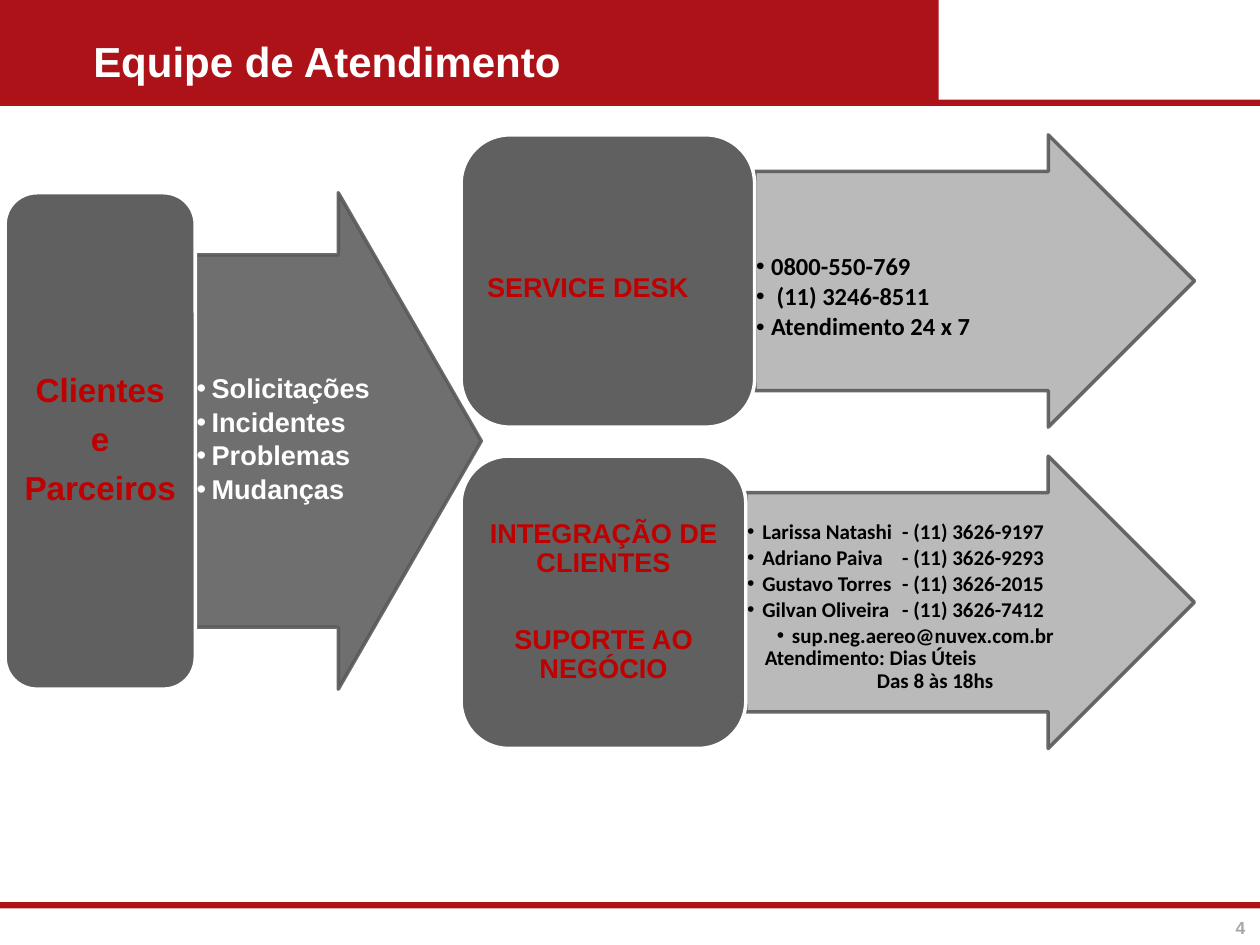
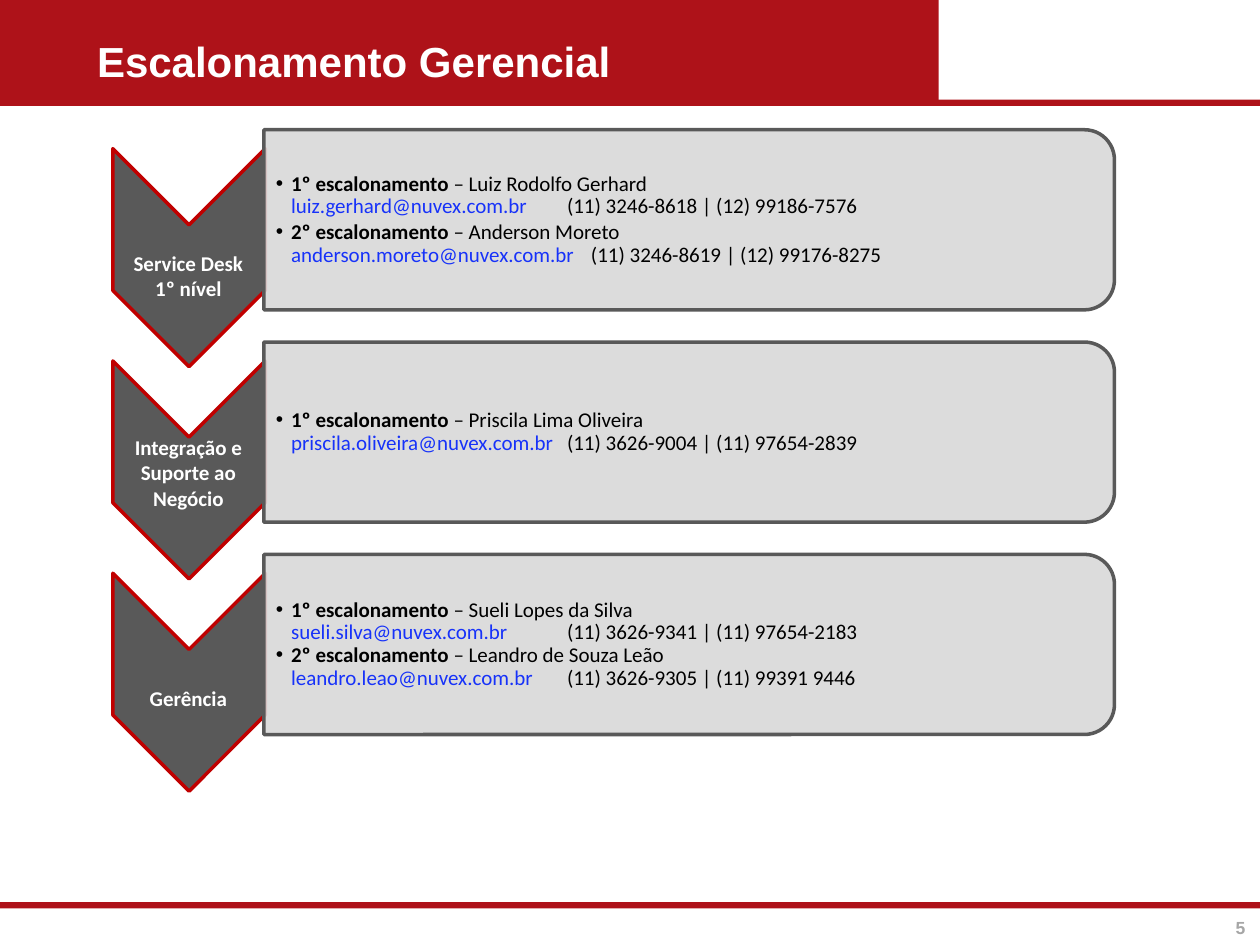
"""Build the service team and management escalation slides."""
from lxml.etree import SubElement
from pptx import Presentation
from pptx.dml.color import RGBColor
from pptx.enum.shapes import MSO_SHAPE
from pptx.enum.text import MSO_ANCHOR, MSO_AUTO_SIZE, PP_ALIGN
from pptx.oxml.ns import qn
from pptx.util import Inches, Pt

COLORS = {
    "band": "AE1219", "white": "FFFFFF", "black": "000000", "number": "A6A6A6",
    "red": "C00000", "box": "606060", "edge": "595959", "arrow": "B3B3B3",
    "card": "D9D9D9", "email": "1732F9",
}

prs = Presentation()
prs.slide_width, prs.slide_height = Inches(10), Inches(7.5)
COL, ROW = prs.slide_width / 100, prs.slide_height / 75
layout = prs.slide_layouts.get_by_name("Comparison")


def draw(slide, kind, at, fill, line=None, alpha=100, line_alpha=100, turn=0):
    """Add a preset shape placed in grid columns and rows."""
    left, top, width, height = at
    shape = slide.shapes.add_shape(kind, int(left * COL), int(top * ROW),
                                   int(width * COL), int(height * ROW))
    shape.shadow.inherit = False
    shape.rotation = turn
    shape.fill.solid()
    shape.fill.fore_color.rgb = RGBColor.from_string(COLORS[fill])
    if line:
        shape.line.width = Pt(2)
        shape.line.color.rgb = RGBColor.from_string(COLORS[line])
    else:
        shape.line.fill.background()
    opacities = (alpha, line_alpha)
    for tint, opacity in zip(shape._element.spPr.iter(qn("a:srgbClr")), opacities):
        if opacity < 100:
            SubElement(tint, qn("a:alpha"), val=str(opacity * 1000))
    return shape


def write(shape, paragraphs, at=None, **style):
    """Fill a shape with paragraphs, each a string, a run list or a pair with overrides."""
    base = dict(font="Arial", size=12, bold=True, color="white", align=PP_ALIGN.LEFT,
                anchor=MSO_ANCHOR.MIDDLE, inset=(0.1, 0.1, 0.1, 0.1), spacing=0.9,
                gap=0, bullet=False, margin=0, tab=None) | style
    if at:
        shape.left, shape.top = int(at[0] * COL), int(at[1] * ROW)
        shape.width, shape.height = int(at[2] * COL), int(at[3] * ROW)
    frame = shape.text_frame
    frame.word_wrap = True
    frame.auto_size = MSO_AUTO_SIZE.NONE
    frame.vertical_anchor = base["anchor"]
    left, top, right, bottom = base["inset"]
    frame.margin_left, frame.margin_right = int(left * COL), int(right * COL)
    frame.margin_top, frame.margin_bottom = int(top * ROW), int(bottom * ROW)
    for order, content in enumerate(paragraphs):
        content, changes = content if isinstance(content, tuple) else (content, {})
        look = base | changes
        para = frame.add_paragraph() if order else frame.paragraphs[0]
        props = para._p.get_or_add_pPr()
        hang = 1.2 if look["bullet"] else 0
        props.set("marL", str(int((look["margin"] + hang) * COL)))
        props.set("indent", str(int(-hang * COL)))
        if look["bullet"]:
            SubElement(props, qn("a:buFont"), typeface="Arial")
            SubElement(props, qn("a:buChar"), char="•")
        else:
            SubElement(props, qn("a:buNone"))
        if look["tab"]:
            stops = SubElement(props, qn("a:tabLst"))
            SubElement(stops, qn("a:tab"), pos=str(int(look["tab"] * COL)), algn="l")
        para.alignment = look["align"]
        para.line_spacing = look["spacing"]
        para.space_before = Pt(look["gap"] if order else 0)
        para.space_after = Pt(0)
        for text, run_changes in [(content, {})] if isinstance(content, str) else content:
            run_look = look | run_changes
            if text == "\n":
                para.add_line_break()
                SubElement(para._p[-1], qn("a:rPr"), sz=str(int(look["size"] * 100)))
                continue
            run = para.add_run()
            run.text = text
            run.font.name, run.font.size = run_look["font"], Pt(run_look["size"])
            run.font.bold = run_look["bold"]
            run.font.color.rgb = RGBColor.from_string(COLORS[run_look["color"]])


slides = []
for heading, heading_left, number in [("Equipe de Atendimento", 6.4, "4"),
                                      ("Escalonamento Gerencial", 6.7, "5")]:
    slide = prs.slides.add_slide(layout)
    write(slide.shapes.title, [heading], at=(heading_left, 2.3, 60, 5.1),
          size=24, inset=(1, 0.5, 1, 0.5), spacing=1)
    page = slide.shapes.add_textbox(0, 0, 0, 0)
    write(page, [number], at=(95.5, 72.3, 5.9, 2.9), size=10, color="number",
          align=PP_ALIGN.CENTER, anchor=MSO_ANCHOR.TOP, inset=(1, 0.5, 1, 0.5), spacing=1)
    slides.append(slide)
team, escalation = slides

for band_at in [(0, 7.9, 100, 0.5), (0, 71.6, 100, 0.5), (0, 0, 74.5, 8.4)]:
    band = draw(team, MSO_SHAPE.RECTANGLE, band_at, "band")
    layout.shapes._spTree.append(band._element)

requests = ["Solicitações", "Incidentes", "Problemas", "Mudanças"]
desk_contacts = ["0800-550-769", " (11) 3246-8511", "Atendimento 24 x 7"]
support_contacts = [
    "Larissa Natashi\t- (11) 3626-9197",
    "Adriano Paiva\t- (11) 3626-9293",
    "Gustavo Torres\t- (11) 3626-2015",
    "Gilvan Oliveira\t- (11) 3626-7412",
    ("sup.neg.aereo@nuvex.com.br", dict(align=PP_ALIGN.CENTER)),
    ("Atendimento: Dias Úteis", dict(bullet=False, margin=1.4, gap=0)),
    ("Das 8 às 18hs", dict(bullet=False, margin=10.3, gap=0)),
]
calibri = dict(font="Calibri", color="black", anchor=MSO_ANCHOR.TOP)
flows = [
    dict(box=(0.4, 15.3, 15.1, 39.4), arrow_width=22.7, fill="box",
         label=["Clientes", "e", "Parceiros"], label_style=dict(size=19, gap=7.5),
         items=requests, items_at=(15.5, 20.2, 14.2, 29.5),
         items_style=dict(size=15.5, gap=2.5)),
    dict(box=(36.6, 10.7, 23.3, 23.2), arrow_width=34.9, fill="arrow",
         label=["SERVICE DESK"],
         label_style=dict(size=15.5, inset=(0.7, 1.5, 3.9, 0.3)),
         items=desk_contacts, items_at=(59.9, 20.1, 26.2, 10.9),
         items_style=calibri | dict(size=14, gap=2.1)),
    dict(box=(36.6, 36.2, 22.6, 23.2), arrow_width=35.6, fill="arrow",
         label=["INTEGRAÇÃO DE CLIENTES", "SUPORTE AO NEGÓCIO"],
         label_style=dict(size=15.5, gap=27),
         items=support_contacts, items_at=(59.2, 41.3, 26.9, 15.2),
         items_style=calibri | dict(gap=1.8, tab=12.3)),
]
lists = list(team.placeholders)[1:]
for flow, contents in zip(flows, lists):
    left, top, width, height = flow["box"]
    arrow = draw(team, MSO_SHAPE.RIGHT_ARROW,
                 (left + width, top, flow["arrow_width"], height),
                 flow["fill"], "edge", alpha=90, line_alpha=90)
    arrow.adjustments[0], arrow.adjustments[1] = 0.75, 0.5
    team.shapes._spTree.append(contents._element)
    write(contents, flow["items"], at=flow["items_at"], bullet=True, **flow["items_style"])
    group = draw(team, MSO_SHAPE.ROUNDED_RECTANGLE, flow["box"], "box", "white")
    write(group, flow["label"], **(dict(color="red", align=PP_ALIGN.CENTER,
                                        inset=(0.7, 0.3, 0.7, 0.3)) | flow["label_style"]))

levels = [
    (["Service Desk", "1º nível"], 1.45, 1.8, [
        ("1º escalonamento", "Luiz Rodolfo Gerhard", "luiz.gerhard@nuvex.com.br",
         "(11) 3246-8618 | (12) 99186-7576"),
        ("2º escalonamento", "Anderson Moreto", "anderson.moreto@nuvex.com.br",
         "(11) 3246-8619 | (12) 99176-8275")]),
    (["Integração e Suporte ao Negócio"], 0.2, 0, [
        ("1º escalonamento", "Priscila Lima Oliveira", "priscila.oliveira@nuvex.com.br",
         "(11) 3626-9004 | (11) 97654-2839")]),
    (["Gerência"], 1.25, 0, [
        ("1º escalonamento", "Sueli Lopes da Silva", "sueli.silva@nuvex.com.br",
         "(11) 3626-9341 | (11) 97654-2183"),
        ("2º escalonamento", "Leandro de Souza Leão", "leandro.leao@nuvex.com.br",
         "(11) 3626-9305 | (11) 99391 9446")]),
]
FIRST_LEVEL, LEVEL_STEP = 17.45, 16.85
lists = list(escalation.placeholders)[1:]
for order, ((label, drop, gap, people), contents) in enumerate(zip(levels, lists)):
    middle = FIRST_LEVEL + order * LEVEL_STEP
    draw(escalation, MSO_SHAPE.CHEVRON, (6.35, middle - 3.05, 17.3, 12.1),
         "edge", "red", turn=90)
    level = escalation.shapes.add_textbox(0, 0, 0, 0)
    write(level, label, at=(8.9, middle + 3 + drop - 3.5, 12.1, 7),
          font="Calibri", align=PP_ALIGN.CENTER, spacing=1)
    draw(escalation, MSO_SHAPE.ROUND_2_SAME_RECTANGLE,
         (47.55, middle - 33.75, 14.3, 67.5), "card", "edge", alpha=90, turn=90)
    entries = [[(step + " ", {}), ("– " + person, dict(bold=False)), ("\n", {}),
                (email + "\t", dict(bold=False, color="email")),
                (phones, dict(bold=False))]
               for step, person, email, phones in people]
    escalation.shapes._spTree.append(contents._element)
    write(contents, entries, at=(21, middle - 6.5, 66.7, 13), font="Calibri",
          color="black", bullet=True, gap=gap, tab=23.1, inset=(0.9, 0.1, 0.1, 0.1))

for slide in slides:
    for placeholder in list(slide.placeholders):
        if not placeholder.text_frame.text:
            placeholder._element.getparent().remove(placeholder._element)

prs.save("out.pptx")
